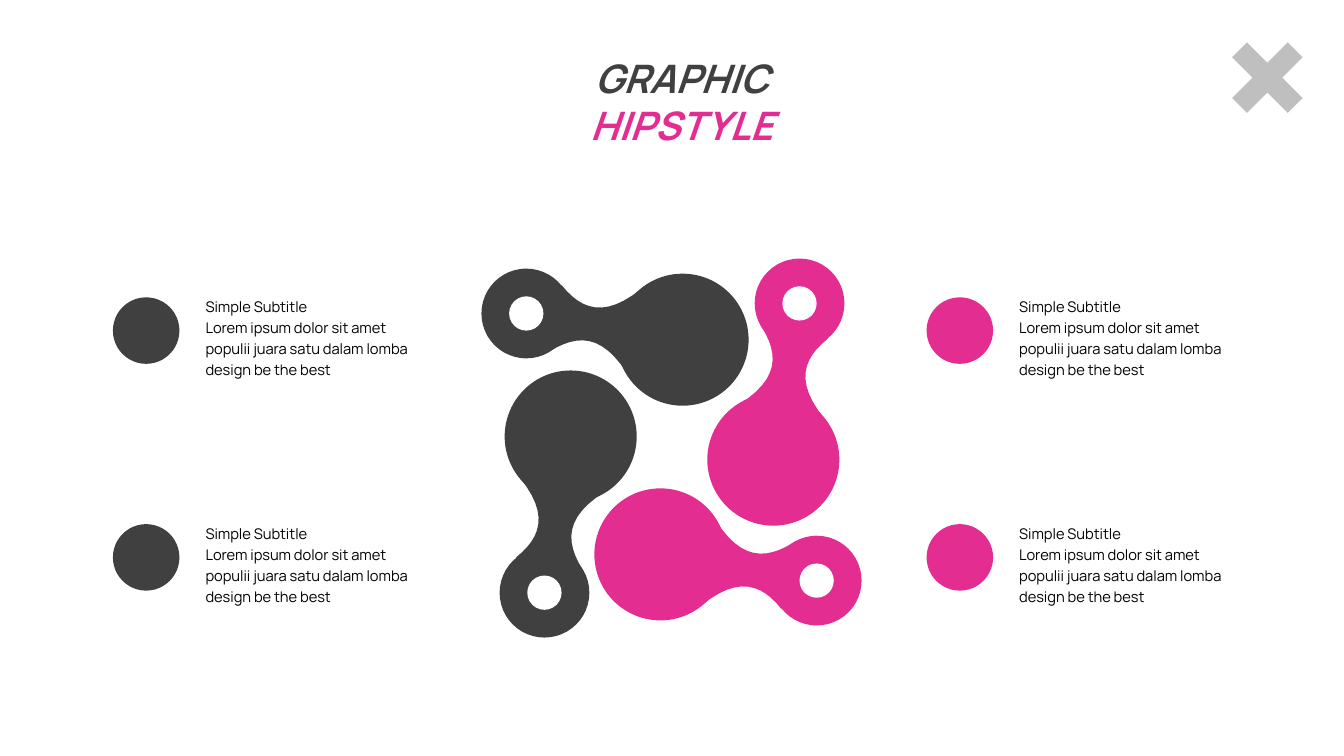
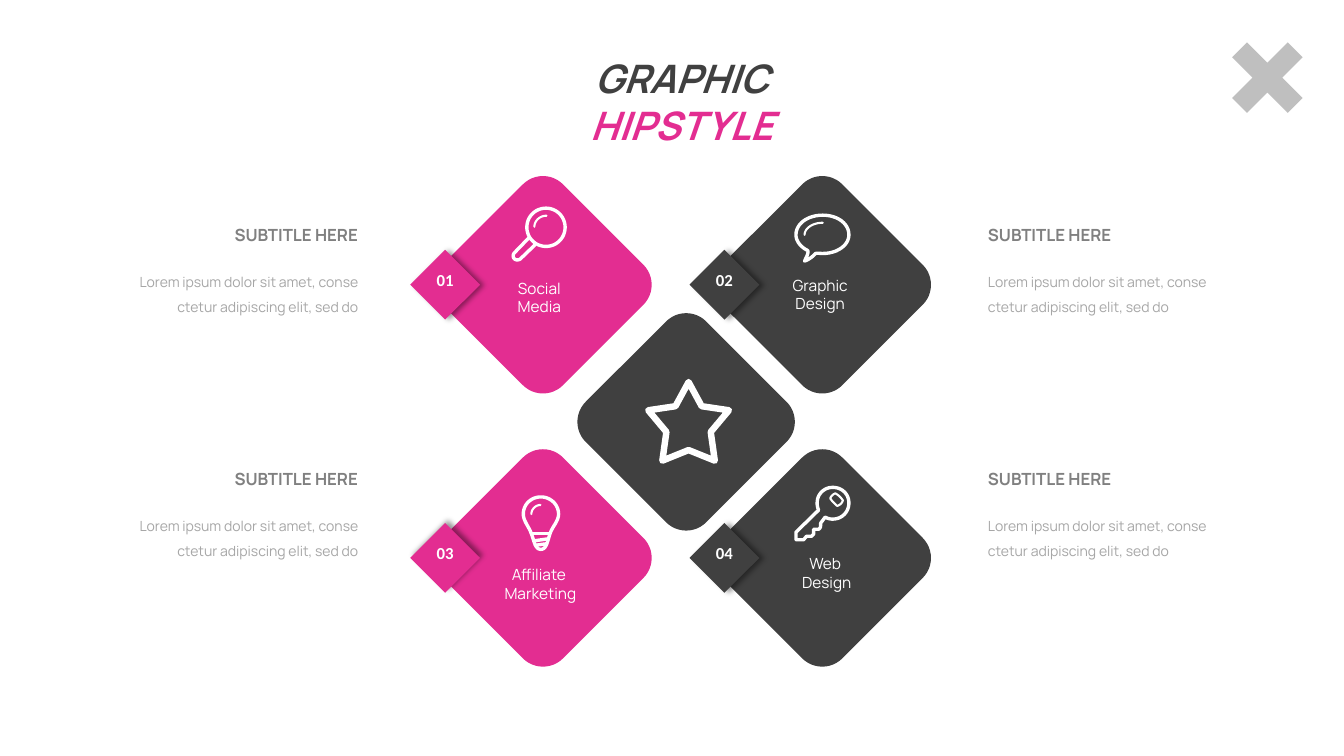
from dataclasses import dataclass
from itertools import product
from math import cos, radians, sin

from pptx import Presentation
from pptx.dml.color import RGBColor
from pptx.enum.shapes import MSO_SHAPE as Preset
from pptx.enum.text import MSO_ANCHOR as Anchor, MSO_AUTO_SIZE as AutoSize, PP_ALIGN as Align
from pptx.oxml import parse_xml
from pptx.oxml.ns import nsdecls, qn
from pptx.util import Inches, Pt


@dataclass(frozen=True)
class Theme:
    pink = RGBColor(0xE3, 0x2D, 0x91)
    dark = RGBColor(0x40, 0x40, 0x40)
    silver = RGBColor(0xBF, 0xBF, 0xBF)
    gray = RGBColor(0x80, 0x80, 0x80)
    light_gray = RGBColor(0xA6, 0xA6, 0xA6)
    white = RGBColor(0xFF, 0xFF, 0xFF)
    black = RGBColor(0, 0, 0)

    title = dict(name="Manrope", size=Pt(28), bold=True, italic=True)
    body = dict(name="Manrope", size=Pt(10.5))
    subtitle = dict(name="Manrope", size=Pt(12), bold=True)
    caption = dict(name="Manrope", size=Pt(10))
    label = dict(name="Manrope", size=Pt(11))
    number = dict(name="Calibri", size=Pt(12), bold=True)

    icon_line = 2.4
    glint_line = 1.5
    star_line = 4.6


THEME = Theme()

# An outline is a start point, then line ends (x, y) or Bezier curves (x1, y1, x2, y2, x, y).
# The neck is in inches from the centre of its large disc.
NECK = [
    (-0.35, -0.55), (0.06, -0.81, 0.05, -1.05, -0.12, -1.33),
    (0.54, -1.21), (0.29, -1.01, 0.21, -0.78, 0.5, -0.42),
]
NECK_CENTER = (0.14, -0.83)
NECK_ROTATION = 54

# Icon outlines are in hundredths of an inch: (points, closed, line width).
MAGNIFIER = [
    ([(15.5, 20.5), (15.5, 10, 24, 1.5, 34.5, 1.5), (45, 1.5, 53.5, 10, 53.5, 20.5),
      (53.5, 31, 45, 39.5, 34.5, 39.5), (24, 39.5, 15.5, 31, 15.5, 20.5)],
     True, THEME.icon_line),
    ([(17, 31.5), (3, 46), (0, 50, 4, 55, 9, 52), (23.5, 38)], False, THEME.icon_line),
    ([(35, 9), (28, 9, 23, 14.5, 23, 20)], False, THEME.glint_line),
]
BUBBLE = [
    ([(28, 39.5), (43, 39.5, 54, 31, 54, 21), (54, 10, 43, 1.5, 28, 1.5),
      (13, 1.5, 1.5, 10, 1.5, 21), (1.5, 27, 6, 33, 13, 36.5),
      (14.5, 38, 12, 43, 10, 47), (15, 45.5, 19, 41.5, 21, 39.5),
      (23, 39, 25, 39.5, 28, 39.5)], True, THEME.icon_line),
    ([(28, 9), (18, 9, 10, 14.5, 10, 21)], False, THEME.glint_line),
]
BULB = [
    ([(10, 38.5), (8, 32, 2, 26, 2, 19), (2, 9.5, 9.5, 2, 19.5, 2),
      (29, 2, 37, 9.5, 37, 19), (37, 26, 30.5, 32, 28.5, 38.5),
      (26, 46, 25, 54, 19.5, 54), (13.5, 54, 13, 46, 10, 38.5)], True, THEME.icon_line),
    ([(10, 38.5), (28.5, 38.5)], False, THEME.icon_line),
    ([(13, 45.5), (27, 43.5)], False, THEME.icon_line),
    ([(14, 50), (25, 48.5)], False, THEME.icon_line),
    ([(19, 10), (14, 10, 10, 14.5, 10, 19)], False, THEME.glint_line),
]
KEY = [
    ([(30.5, 31), (33, 32.5, 35.5, 33, 38, 33), (47, 33, 54, 26, 54, 17),
      (54, 8, 47, 1.5, 38, 1.5), (29.5, 1.5, 22.5, 8, 22.5, 17),
      (22.5, 19.5, 23, 22, 24, 24), (1.5, 46), (1.5, 53.5), (9, 53.5), (12, 50),
      (17, 50), (19, 48), (19, 43), (24, 43), (26, 42, 26, 40, 26, 37)],
     True, THEME.icon_line),
    ([(48, 14.5), (46, 11.5, 43.5, 9, 40.5, 7.5), (38, 8.5, 36.5, 10, 35.5, 12.5),
      (37.5, 15.5, 40, 18, 42.5, 20), (45, 19, 47, 17.5, 48, 14.5)],
     True, THEME.glint_line),
]
STAR = [
    ([(44, 3), (57, 27), (84, 31), (66, 52.5), (70, 81), (44, 70.5),
      (18, 81), (22, 52.5), (4, 31), (31, 27)], True, THEME.star_line),
]

TITLE_RUNS = [("GRAPHIC", THEME.dark), (" HIPSTYLE", THEME.pink)]
BODY_LINES = [
    "Simple Subtitle",
    "Lorem ipsum dolor sit amet populii juara satu dalam lomba design be the best",
]
CAPTION = "Lorem ipsum dolor sit amet, conse ctetur adipiscing elit, sed do"


def add_run(paragraph, text, style, color):
    run = paragraph.add_run()
    run.text = text
    for attribute, value in style.items():
        setattr(run.font, attribute, value)
    run.font.color.rgb = color


def add_text(slide, box, lines, style, color, align=Align.LEFT, spacing=1.0, wrap=True):
    frame = slide.shapes.add_textbox(*map(Inches, box)).text_frame
    frame.word_wrap = wrap
    frame.auto_size = AutoSize.SHAPE_TO_FIT_TEXT
    for index, line in enumerate(lines):
        paragraph = frame.add_paragraph() if index else frame.paragraphs[0]
        paragraph.alignment = align
        paragraph.line_spacing = spacing
        add_run(paragraph, line, style, color)


def paint(shape, color):
    shape.shadow.inherit = False
    shape.fill.solid()
    shape.fill.fore_color.rgb = color
    shape.line.fill.background()


def add_square(shapes, preset, left, top, size, color, rotation=0):
    """Add a preset shape of equal width and height."""
    shape = shapes.add_shape(preset, *map(Inches, (left, top, size, size)))
    shape.rotation = rotation
    paint(shape, color)
    return shape


def add_disc(shapes, center, diameter, color):
    left, top = (value - diameter / 2 for value in center)
    add_square(shapes, Preset.OVAL, left, top, diameter, color)


def flatten(outline, steps=12):
    """Turn lines and Bezier curves into a list of points."""
    points = [outline[0]]
    for segment in outline[1:]:
        if len(segment) == 2:
            points.append(segment)
            continue
        x0, y0 = points[-1]
        x1, y1, x2, y2, x3, y3 = segment
        for step in range(1, steps + 1):
            t = step / steps
            a, b, c, d = (1 - t) ** 3, 3 * t * (1 - t) ** 2, 3 * t * t * (1 - t), t ** 3
            points.append((a * x0 + b * x1 + c * x2 + d * x3,
                           a * y0 + b * y1 + c * y2 + d * y3))
    return points


def turn(point, pivot, degrees):
    """Turn a point clockwise about a pivot."""
    x, y = point[0] - pivot[0], point[1] - pivot[1]
    cosine, sine = cos(radians(degrees)), sin(radians(degrees))
    return pivot[0] + x * cosine - y * sine, pivot[1] + x * sine + y * cosine


def add_outline(shapes, points, closed=True):
    """Add a freeform through points given in inches."""
    start, *others = [(Inches(x), Inches(y)) for x, y in points]
    builder = shapes.build_freeform(*start)
    builder.add_line_segments(others, close=closed)
    shape = builder.convert_to_shape()
    shape.shadow.inherit = False
    return shape


def add_icon(slide, left, top, strokes):
    for outline, closed, width in strokes:
        points = [(left + x / 100, top + y / 100) for x, y in flatten(outline)]
        shape = add_outline(slide.shapes, points, closed)
        shape.fill.background()
        shape.line.color.rgb = THEME.white
        shape.line.width = Pt(width)
        line = shape._element.spPr.find(qn("a:ln"))
        line.set("cap", "rnd")
        line.append(parse_xml(f"<a:round {nsdecls('a')}/>"))


def add_drop_shadow(shape, direction):
    """Fill the empty effect list with a soft outer shadow."""
    effects = shape._element.spPr.find(qn("a:effectLst"))
    effects.append(parse_xml(
        f'<a:outerShdw {nsdecls("a")} blurRad="{Pt(4)}" dist="{Pt(3)}" '
        f'dir="{direction * 60000}" algn="ctr" rotWithShape="0">'
        '<a:srgbClr val="000000"><a:alpha val="40000"/></a:srgbClr></a:outerShdw>'))


def add_titled_slide(presentation):
    slide = presentation.slides.add_slide(presentation.slide_layouts[5])
    cross = add_square(slide.shapes, Preset.CROSS, 12.18, 0.38, 0.78, THEME.silver, 45)
    cross.adjustments[0] = 0.366

    title = slide.shapes.title
    title.left, title.top, title.width, title.height = map(Inches, (4.88, 0.49, 3.76, 1.04))
    frame = title.text_frame
    frame.word_wrap = True
    frame.auto_size = AutoSize.NONE
    frame.vertical_anchor = Anchor.TOP
    paragraph = frame.paragraphs[0]
    paragraph.alignment = Align.CENTER
    paragraph.line_spacing = 1.0
    for text, color in TITLE_RUNS:
        add_run(paragraph, text, THEME.title, color)
    return slide


def add_link(slide, center, degrees, color):
    """Add a large and a small disc joined by a neck, turned clockwise about the large one."""
    def place(point):
        return turn((center[0] + point[0], center[1] + point[1]), center, degrees)

    shapes = slide.shapes.add_group_shape().shapes
    pivot = place(NECK_CENTER)
    neck = add_outline(
        shapes, [turn(place(point), pivot, -NECK_ROTATION) for point in flatten(NECK)])
    neck.rotation = NECK_ROTATION
    paint(neck, color)
    small_center = place((0.26, -1.55))
    add_disc(shapes, center, 1.31, color)
    add_disc(shapes, small_center, 0.89, color)
    add_disc(shapes, small_center, 0.34, THEME.white)


def add_links_slide(presentation):
    slide = add_titled_slide(presentation)
    links = [
        ((7.67, 4.56), THEME.pink), ((6.55, 5.5), THEME.pink),
        ((5.66, 4.33), THEME.dark), ((6.77, 3.37), THEME.dark),
    ]
    for index, (center, color) in enumerate(links):
        add_link(slide, center, 90 * index, color)

    columns = [(1.12, THEME.dark), (9.19, THEME.pink)]
    for (left, color), top in product(columns, (2.87, 5.12)):
        add_square(slide.shapes, Preset.OVAL, left, top + 0.08, 0.66, color)
        add_text(slide, (left + 0.82, top, 2.39, 0.93), BODY_LINES, THEME.body,
                 THEME.black, spacing=1.2)


def add_tile(slide, left, top, color):
    add_square(slide.shapes, Preset.ROUNDED_RECTANGLE, left, top, 1.69, color, 45)


def add_numbered_tile(slide, left, top, color, number, shadow_direction=0):
    add_tile(slide, left, top, color)
    chip = add_square(slide.shapes, Preset.RECTANGLE, left - 0.37, top + 0.6, 0.49, color, 45)
    add_drop_shadow(chip, shadow_direction)
    add_text(slide, (left - 0.32, top + 0.65, 0.39, 0.3), [number], THEME.number,
             THEME.white, Align.CENTER, wrap=False)


def add_tiles_slide(presentation):
    slide = add_titled_slide(presentation)
    left_column, right_column = 4.54, 7.31
    top_row, bottom_row = 1.98, 4.69
    add_numbered_tile(slide, left_column, top_row, THEME.pink, "01")
    add_numbered_tile(slide, right_column, top_row, THEME.dark, "02")
    add_numbered_tile(slide, left_column, bottom_row, THEME.pink, "03", shadow_direction=315)
    add_numbered_tile(slide, right_column, bottom_row, THEME.dark, "04")
    add_tile(slide, 5.96, 3.34, THEME.dark)

    icons = [
        (5.07, 2.05, MAGNIFIER), (7.88, 2.12, BUBBLE), (5.17, 4.91, BULB),
        (7.88, 4.82, KEY), (6.39, 3.76, STAR),
    ]
    for icon in icons:
        add_icon(slide, *icon)

    labels = [
        (5.03, 2.72, 0.64, ["Social", "Media"]), (7.76, 2.69, 0.75, ["Graphic", "Design"]),
        (4.9, 5.56, 0.92, ["Affiliate ", "Marketing"]), (7.85, 5.45, 0.7, ["Web ", "Design"]),
    ]
    for left, top, width, lines in labels:
        add_text(slide, (left, top, width, 0.47), lines, THEME.label, THEME.white,
                 Align.CENTER, wrap=False)

    columns = [(2.17, 0.94, Align.RIGHT), (9.7, 9.7, Align.LEFT)]
    for (subtitle_left, caption_left, align), top in product(columns, (2.18, 4.6)):
        add_text(slide, (subtitle_left, top, 1.48, 0.3), ["SUBTITLE HERE"], THEME.subtitle,
                 THEME.gray, align, wrap=False)
        add_text(slide, (caption_left, top + 0.4, 2.71, 0.61), [CAPTION], THEME.caption,
                 THEME.light_gray, align, spacing=1.5)


def main():
    presentation = Presentation()
    presentation.slide_width, presentation.slide_height = Inches(13.33), Inches(7.5)
    add_links_slide(presentation)
    add_tiles_slide(presentation)
    presentation.save("out.pptx")


if __name__ == "__main__":
    main()
